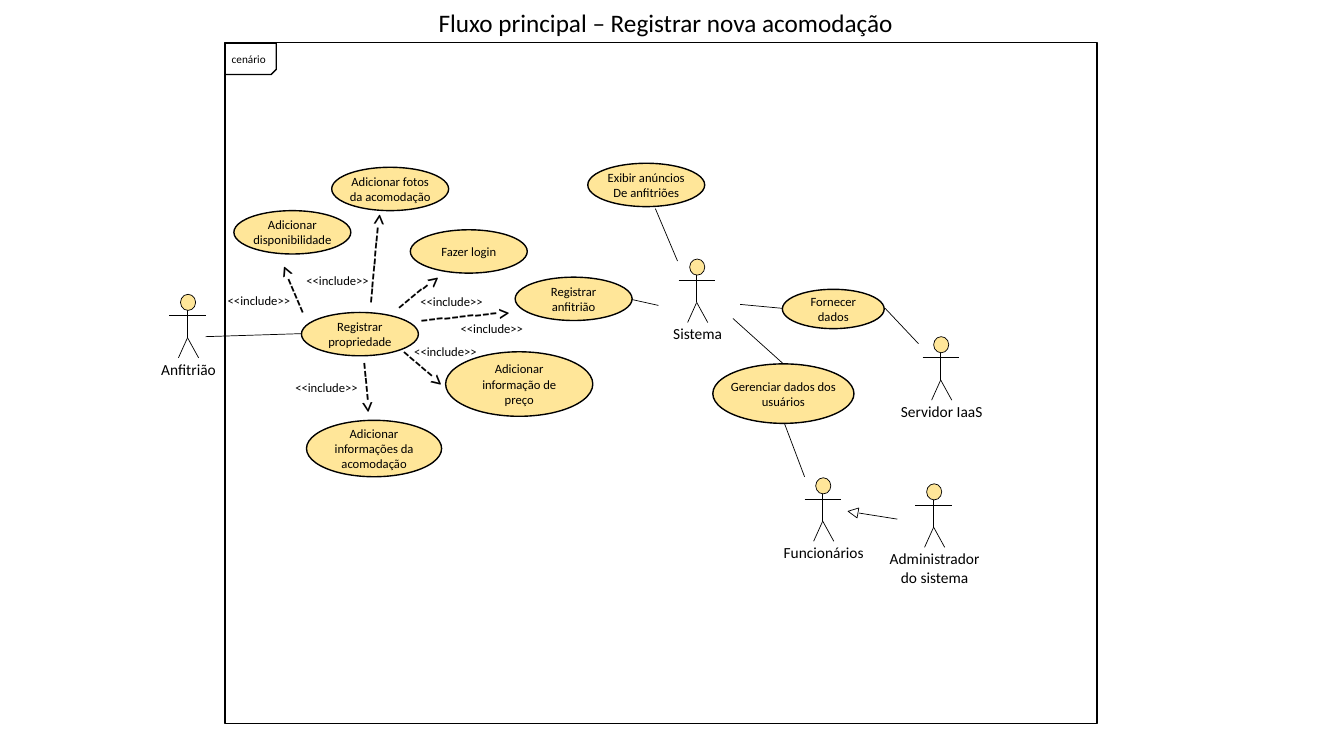
"""Build the use case diagram for registering a new accommodation."""
import pptx
import pptx.dml.color
import pptx.enum.shapes
import pptx.enum.text
import pptx.oxml
import pptx.oxml.ns
import pptx.util

Inches = pptx.util.Inches
Pt = pptx.util.Pt
Shape = pptx.enum.shapes.MSO_SHAPE
Align = pptx.enum.text.PP_ALIGN
Anchor = pptx.enum.text.MSO_ANCHOR

COLORS = {"ink": "000000", "case": "FFE699", "paper": "FFFFFF"}


class Diagram:
    """Hold the style and the current slide."""

    font = "Calibri"

    def __init__(self, page):
        """Keep the slide to draw on."""
        self.page = page

    def color(self, name):
        """Return a named colour."""
        return pptx.dml.color.RGBColor.from_string(COLORS[name])

    def set_text(self, holder, text, size, align=Align.LEFT):
        """Put text into a shape, one paragraph a line."""
        frame = holder.text_frame
        frame.text = text
        frame.word_wrap = "\v" not in text
        for para in frame.paragraphs:
            para.alignment = align
            para.font.name = self.font
            para.font.size = Pt(size)
            para.font.color.rgb = self.color("ink")
        return frame

    def title(self, text, left, top, width, height):
        """Place the slide title."""
        box = self.page.shapes.title
        box.left, box.top = Inches(left), Inches(top)
        box.width, box.height = Inches(width), Inches(height)
        frame = self.set_text(box, text, 18)
        frame.auto_size = pptx.enum.text.MSO_AUTO_SIZE.NONE
        frame.vertical_anchor = Anchor.TOP
        frame.paragraphs[0].line_spacing = 1

    def label(self, text, left, top, width, height, size=9, align=Align.LEFT, turn=0):
        """Add a text box."""
        box = self.page.shapes.add_textbox(
            Inches(left), Inches(top), Inches(width), Inches(height))
        box.rotation = turn
        self.set_text(box, text, size, align)

    def shape(self, kind, left, top, width, height, fill=None, weight=1.0):
        """Add an outlined preset shape."""
        item = self.page.shapes.add_shape(
            kind, Inches(left), Inches(top), Inches(width), Inches(height))
        item.shadow.inherit = False
        item.line.color.rgb = self.color("ink")
        item.line.width = Pt(weight)
        if fill:
            item.fill.solid()
            item.fill.fore_color.rgb = self.color(fill)
        else:
            item.fill.background()
        return item

    def line(self, x1, y1, x2, y2):
        """Add a thin straight line."""
        link = self.page.shapes.add_connector(
            pptx.enum.shapes.MSO_CONNECTOR.STRAIGHT,
            Inches(x1), Inches(y1), Inches(x2), Inches(y2))
        link.line.color.rgb = self.color("ink")
        link.line.width = Pt(0.5)
        properties = link._element.spPr
        properties.append(pptx.oxml.parse_xml(
            "<a:effectLst %s/>" % pptx.oxml.ns.nsdecls("a")))

    def use_case(self, text, left, top, width=1.16, height=0.43):
        """Add a use case ellipse with its name."""
        oval = self.shape(Shape.OVAL, left, top, width, height, "case")
        frame = self.set_text(oval, text, 9, Align.CENTER)
        frame.margin_left = frame.margin_right = 0
        frame.margin_top = frame.margin_bottom = 0
        frame.vertical_anchor = Anchor.MIDDLE

    def actor(self, name, center, top, label_height=0.29):
        """Add a stick figure with its name below."""
        for x1, y1, x2, y2 in LIMBS:
            self.line(center + x1, top + y1, center + x2, top + y2)
        self.shape(Shape.OVAL, center - 0.07, top, 0.15, 0.16, "case", 0.5)
        self.label(name, center - 0.57, top + 0.6, 1.16, label_height, 11, Align.CENTER)

    def dashes(self, count, left, top, width, turn):
        """Add a turned arrow typed with hyphens."""
        self.label("<" + "-" * count, left, top, width, 0.4, 18, turn=turn)


LIMBS = [
    (-0.09, 0.63, 0, 0.43),
    (0, 0.43, 0.11, 0.63),
    (0, 0.43, 0, 0.16),
    (-0.18, 0.21, 0.18, 0.21),
]
ACTORS = [
    ("Anfitrião", 1.86, 2.92),
    ("Servidor IaaS", 9.33, 3.34),
    ("Sistema", 6.91, 2.57),
    ("Funcionários", 8.16, 4.74),
    ("Administrador do sistema", 9.26, 4.8, 0.47),
]
USE_CASES = [
    ("Registrar propriedade", 2.99, 3.1),
    ("Gerenciar dados dos\vusuários", 7.07, 3.61, 1.4, 0.59),
    ("Fornecer dados", 7.76, 2.87, 1.01, 0.39),
    ("Fazer login", 4.07, 2.28),
    ("Adicionar informação de preço", 4.42, 3.49, 1.46, 0.64),
    ("Adicionar fotos da acomodação", 3.29, 1.66),
    ("Adicionar disponibilidade", 2.32, 2.09),
    ("Adicionar informações da acomodação", 3.04, 4.17, 1.34, 0.56),
    ("Registrar anfitrião", 5.11, 2.75),
    ("Exibir anúncios\nDe anfitriões", 5.83, 1.62),
]
LINKS = [
    (8.78, 3.06, 9.11, 3.41),
    (7.77, 3.06, 7.34, 3.02),
    (7.27, 3.16, 7.77, 3.61),
    (2.04, 3.34, 2.99, 3.31),
    (8.9, 5.15, 8.52, 5.09),
    (7.98, 4.73, 7.78, 4.2),
    (6.26, 2.97, 6.53, 3.03),
    (6.72, 2.59, 6.5, 2.07),
]
DASHES = [
    (5, 3.72, 2.76, 0.81, 140.7),
    (5, 3.73, 3.44, 0.81, 220.6),
    (5, 3.2, 3.6, 0.81, 264.3),
    (5, 2.55, 2.72, 0.81, 66.9),
    (10, 3.11, 2.46, 1.26, 95.1),
    (10, 3.9, 2.98, 1.26, 174.5),
]
INCLUDES = [(4.07, 2.87), (4.01, 3.36), (2.83, 3.72),
            (2.94, 2.66), (2.16, 2.86), (4.47, 3.13)]

deck = pptx.Presentation()
deck.slide_width, deck.slide_height = Inches(13.33), Inches(7.5)
diagram = Diagram(deck.slides.add_slide(deck.slide_layouts[5]))

diagram.title("Fluxo principal – Registrar nova acomodação", 4.25, 0.02, 5.18, 0.4)
diagram.shape(Shape.RECTANGLE, 2.23, 0.42, 8.65, 6.76)
tag = diagram.shape(Shape.SNIP_1_RECTANGLE, 2.23, 0.43, 0.51, 0.31)
tag._element.spPr.xfrm.set("flipV", "1")
diagram.label("cenário", 2.2, 0.47, 0.64, 0.24, 8)

for link in LINKS:
    diagram.line(*link)
for use_case in USE_CASES:
    diagram.use_case(*use_case)
for actor in ACTORS:
    diagram.actor(*actor)
for dashes in DASHES:
    diagram.dashes(*dashes)
for left, top in INCLUDES:
    diagram.label("<<include>>", left, top, 0.88, 0.25)

arrowhead = diagram.shape(Shape.ISOSCELES_TRIANGLE, 8.41, 5.03, 0.1, 0.1, "paper", 0.5)
arrowhead.rotation = 279.7

deck.save("out.pptx")
